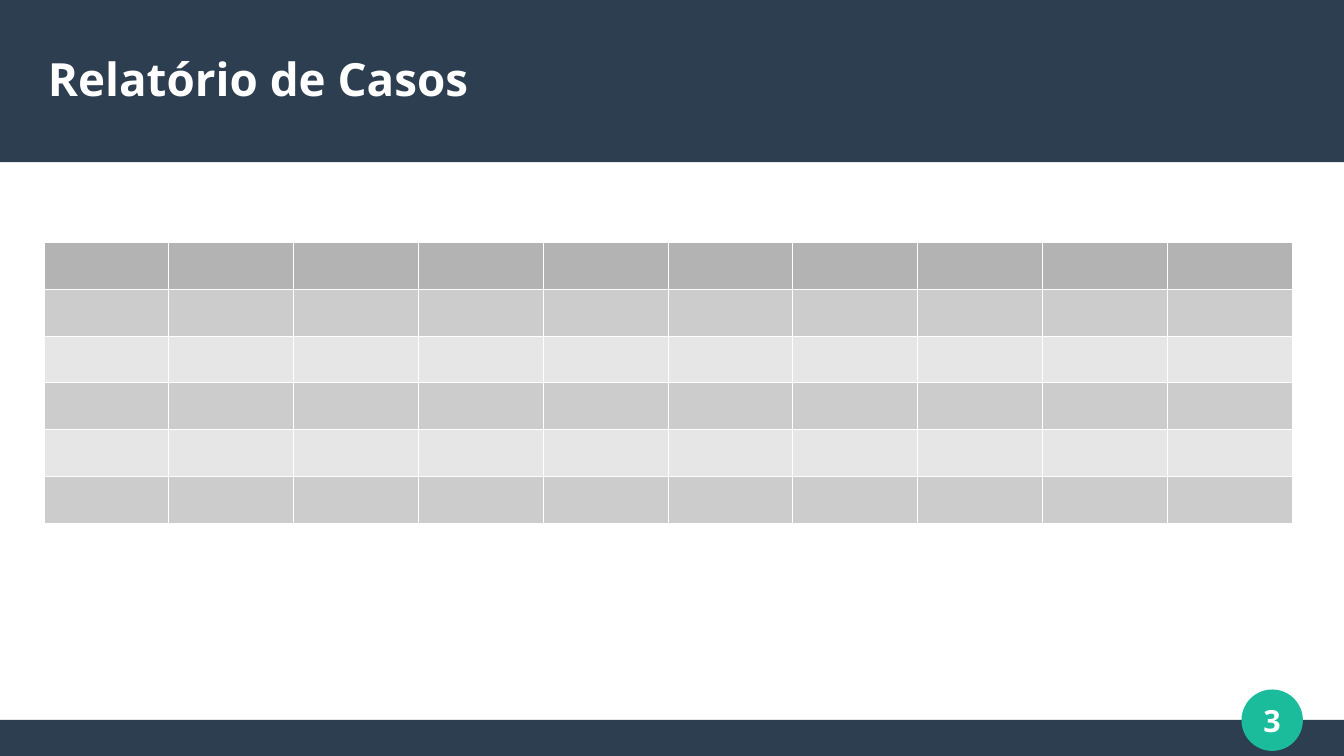
from lxml.etree import SubElement
from pptx import Presentation
from pptx.dml.color import RGBColor
from pptx.enum.shapes import MSO_SHAPE
from pptx.enum.text import MSO_ANCHOR, PP_ALIGN
from pptx.oxml.ns import qn
from pptx.util import Cm, Pt

NAVY, TEAL, WHITE = "2C3E50", "1ABC9C", "FFFFFF"
HEADER_GRAY, DARK_BAND, LIGHT_BAND = "B3B3B3", "CCCCCC", "E6E6E6"
WIDTH, HEIGHT = 28, 15.75


def color(value):
    return RGBColor.from_string(value)


class ReportSlide:
    """Draws the elements of a report slide in one consistent style."""

    font_name = "Noto Sans"
    border_width = Pt(0.06)

    def __init__(self, presentation):
        self.slide = presentation.slides.add_slide(presentation.slide_layouts[6])

    def shape(self, kind, left, top, width, height, fill, line_width=0):
        shape = self.slide.shapes.add_shape(kind, Cm(left), Cm(top), Cm(width), Cm(height))
        shape.shadow.inherit = False
        shape.fill.solid()
        shape.fill.fore_color.rgb = color(fill)
        if line_width:
            shape.line.color.rgb = color(fill)
            shape.line.width = Pt(line_width)
        else:
            shape.line.fill.background()

    def text(self, text, left, top, width, height, size, alignment=PP_ALIGN.LEFT):
        box = self.slide.shapes.add_textbox(Cm(left), Cm(top), Cm(width), Cm(height))
        frame = box.text_frame
        frame.text = text
        frame.word_wrap = True
        frame.vertical_anchor = MSO_ANCHOR.MIDDLE
        frame.margin_left = frame.margin_right = frame.margin_top = frame.margin_bottom = 0
        paragraph = frame.paragraphs[0]
        paragraph.alignment = alignment
        font = paragraph.runs[0].font
        font.name = self.font_name
        font.size = Pt(size)
        font.bold = True
        font.color.rgb = color(WHITE)

    def table(self, left, top, width, height, row_fills, column_count):
        table = self.slide.shapes.add_table(
            len(row_fills), column_count, Cm(left), Cm(top), Cm(width), Cm(height)
        ).table
        for row, fill in zip(table.rows, row_fills):
            for cell in row.cells:
                cell.margin_top = cell.margin_bottom = 0
                self.borders(cell)
                cell.fill.solid()
                cell.fill.fore_color.rgb = color(fill)

    def borders(self, cell):
        properties = cell._tc.get_or_add_tcPr()
        for side in ("a:lnL", "a:lnR", "a:lnT", "a:lnB"):
            line = SubElement(properties, qn(side), w=str(int(self.border_width)))
            solid_fill = SubElement(line, qn("a:solidFill"))
            SubElement(solid_fill, qn("a:srgbClr"), val=WHITE)


def main():
    presentation = Presentation()
    presentation.slide_width = Cm(WIDTH)
    presentation.slide_height = Cm(HEIGHT)
    report = ReportSlide(presentation)

    report.shape(MSO_SHAPE.RECTANGLE, 0, 15, WIDTH, HEIGHT - 15, NAVY)
    report.shape(MSO_SHAPE.RECTANGLE, 0, 0, WIDTH, 3.38, NAVY)
    report.shape(MSO_SHAPE.OVAL, 25.88, 14.38, 1.25, 1.25, TEAL, line_width=0.85)
    report.text("3", 25.5, 14.25, 2, 1.5, 18, PP_ALIGN.CENTER)
    report.text("Relatório de Casos", 1, 0.64, 26, 2, 27)

    row_fills = [HEADER_GRAY] + [DARK_BAND, LIGHT_BAND] * 2 + [DARK_BAND]
    report.table(0.91, 5.05, 26, 5.84, row_fills, column_count=10)

    presentation.save("out.pptx")


if __name__ == "__main__":
    main()
